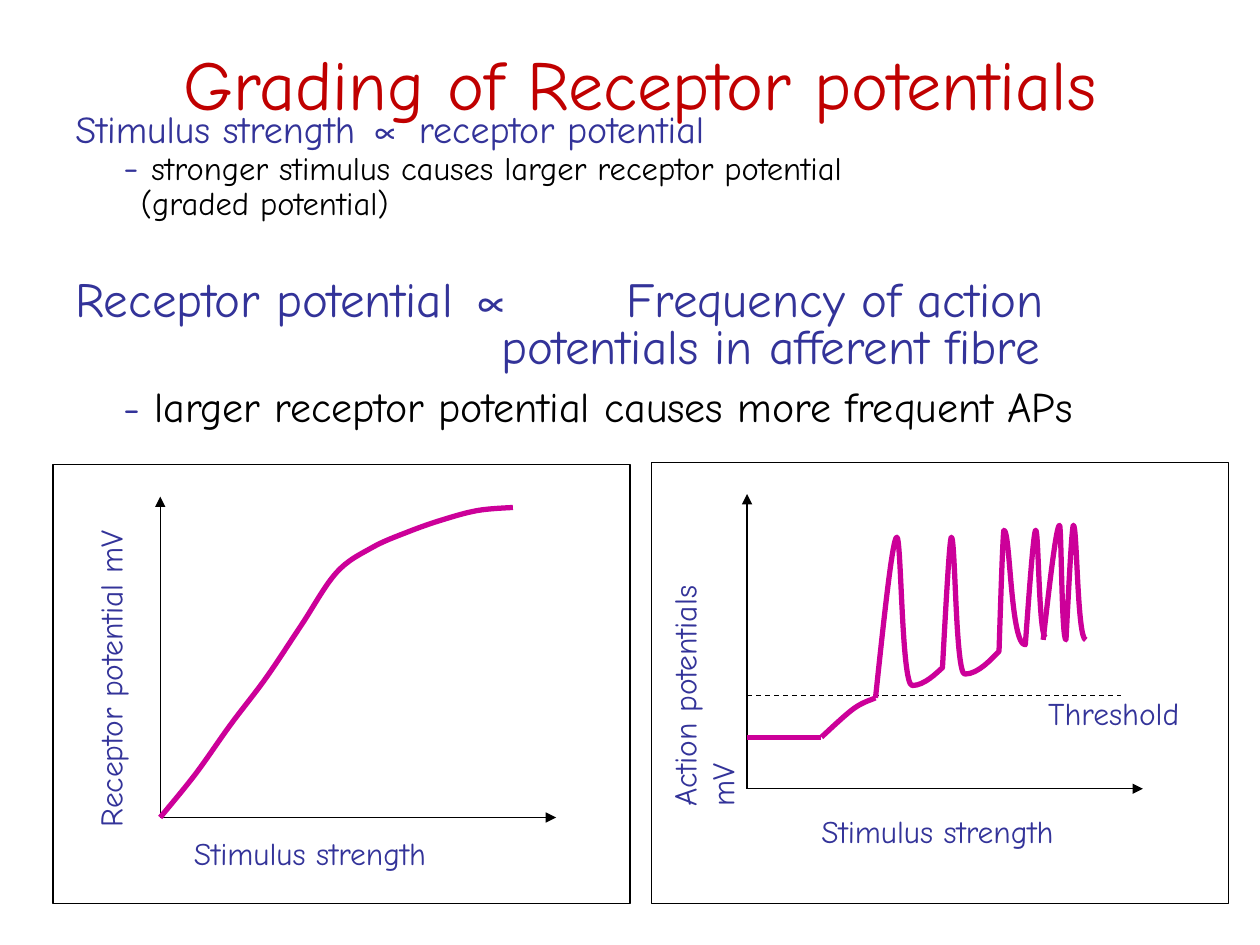
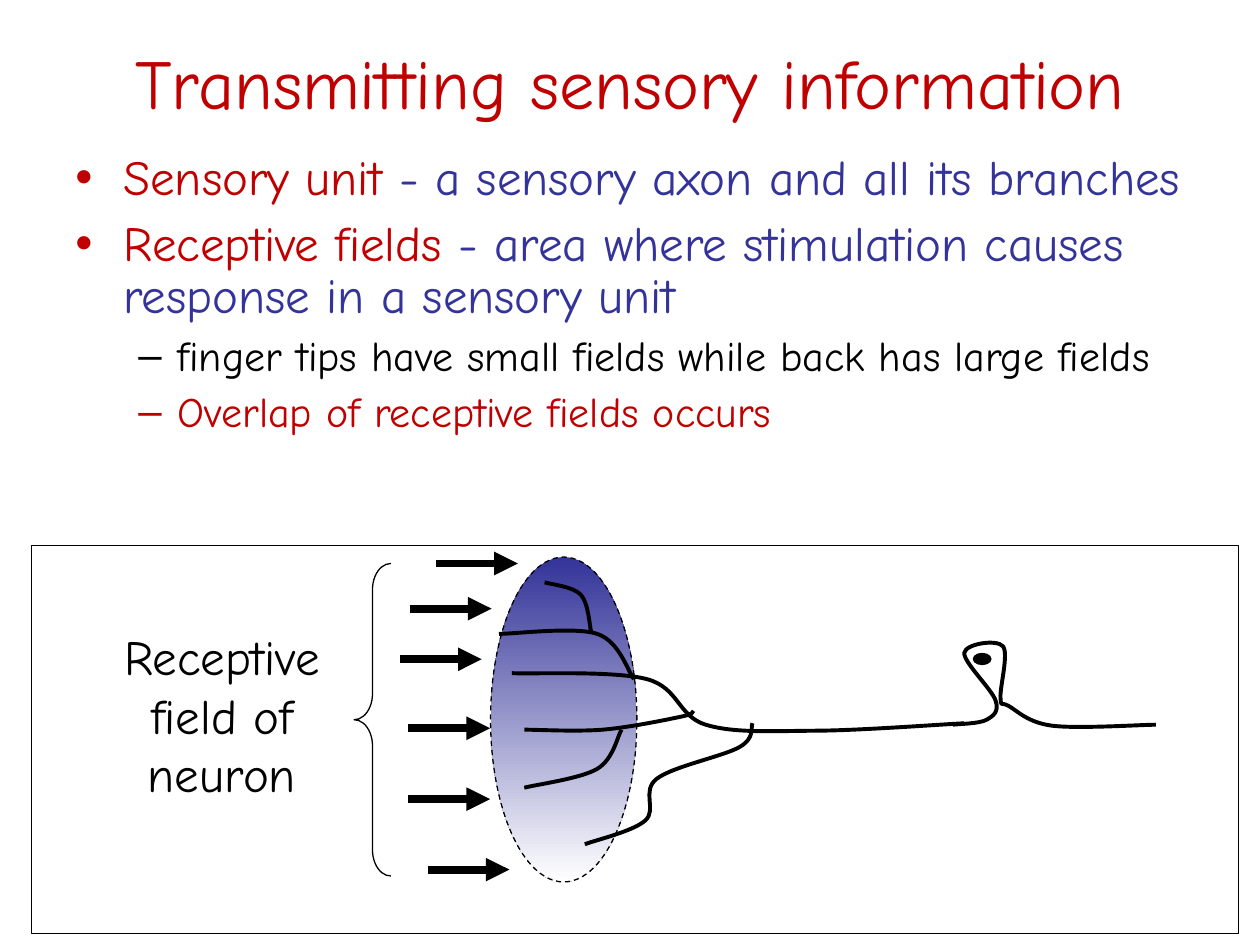
from collections import namedtuple

from lxml import etree
from pptx import Presentation
from pptx import util as u
from pptx.dml.color import RGBColor
from pptx.enum import dml, shapes, text
from pptx.oxml import ns

RED = RGBColor(0xC0, 0x00, 0x00)
INDIGO = RGBColor(0x33, 0x33, 0x99)
MAGENTA = RGBColor(0xCC, 0x00, 0x99)
BLACK = RGBColor(0x00, 0x00, 0x00)
WHITE = RGBColor(0xFF, 0xFF, 0xFF)

FONT = "Comic Neue"
SYMBOL_FONT = "Arial"
LABEL_HEIGHT = 1.02
AXIS_TOP = 0.64
AXIS_LENGTH = 7.98
ARROW_LENGTH = 1.65

Box = namedtuple("Box", "left top width height")
Run = namedtuple("Run", "words size color font", defaults=[FONT])
Spike = namedtuple("Spike", "foot peak trough")

RESPONSE_PERCENT = [0, 14, 30, 45, 62, 79, 87, 92, 96, 99, 100]
REST_END = (3.43, 5.54)
SPACED_SPIKES = [
    Spike((4.52, 4.75), (4.95, 1.51), (5.26, 4.5)),
    Spike((5.87, 4.14), (6.05, 1.51), (6.32, 4.27)),
    Spike((7.01, 3.81), (7.11, 1.37), (7.54, 3.68)),
    Spike((7.54, 3.68), (7.75, 1.37), (7.95, 3.53))]
RAPID_SPIKES = [
    Spike((7.9, 3.58), (8.23, 1.27), (8.36, 3.58)),
    Spike((8.36, 3.58), (8.51, 1.27), (8.76, 3.58))]

AXON = [(9.68, 2.57), (12.4, 2.69), (13.59, 3.61), (15.82, 3.73), (18.8, 3.58)]
CELL_BODY = [(18.57, 3.61), (19.25, 3.51), (19.43, 3.12), (18.8, 2.16), (19.58, 2.03),
             (19.53, 3.07), (19.69, 3.23), (20.57, 3.63), (22.66, 3.61)]
UPPER_BRANCH = [(9.42, 1.78), (11.4, 1.78), (12.14, 2.69)]
UPPER_TWIG = [(10.34, 0.74), (11.07, 0.99), (11.28, 1.75)]
LOWER_BRANCH = [(9.93, 3.71), (11.51, 3.71), (13.08, 3.45), (13.34, 3.33)]
LOWER_TWIG = [(9.93, 4.88), (11.4, 4.5), (11.89, 3.71)]
OUTER_BRANCH = [(11.15, 6.02), (12.37, 5.54), (12.6, 4.7), (14.27, 4.06), (14.53, 3.58)]
NEURON_PARTS = [AXON, CELL_BODY, UPPER_BRANCH, UPPER_TWIG,
                LOWER_BRANCH, LOWER_TWIG, OUTER_BRANCH]

STIMULUS_STARTS = [(8.15, 0.36), (7.62, 1.27), (7.42, 2.29),
                   (7.59, 3.68), (7.59, 5.11), (7.98, 6.53)]


def inside(panel, left, top, width, height):
    return Box(panel.left + left, panel.top + top, width, height)


def cm(lengths):
    return [u.Cm(length) for length in lengths]


def between(start, end, x_share, y_share):
    return (start[0] + x_share * (end[0] - start[0]),
            start[1] + y_share * (end[1] - start[1]))


def smooth(waypoints):
    padded = [waypoints[0], *waypoints, waypoints[-1]]
    curve = [waypoints[0]]
    for before, start, end, after in zip(padded, padded[1:], padded[2:], padded[3:]):
        leave = tuple(s + (e - b) / 6 for b, s, e in zip(before, start, end))
        arrive = tuple(e - (a - s) / 6 for s, e, a in zip(start, end, after))
        curve += [leave, arrive, end]
    return curve


def spike_train(spikes):
    curve = [spikes[0].foot]
    for foot, peak, trough in spikes:
        if foot != curve[-1]:
            curve += [between(curve[-1], foot, 0.4, 0), between(curve[-1], foot, 0.8, 0.7), foot]
        curve += [between(foot, peak, 0.4, 0.5), between(foot, peak, 0.8, 1), peak]
        curve += [between(peak, trough, 0.3, 0), between(peak, trough, 0.3, 1), trough]
    return curve


def add_runs(paragraph, runs):
    for words, size, color, font in runs:
        run = paragraph.add_run()
        run.text = words
        run.font.name = font
        run.font.size = u.Pt(size)
        run.font.color.rgb = color


def add_text(slide, box, runs, align=text.PP_ALIGN.LEFT, anchor=text.MSO_ANCHOR.TOP):
    frame_box = slide.shapes.add_textbox(*cm(box))
    frame = frame_box.text_frame
    frame.word_wrap = True
    frame.vertical_anchor = anchor
    frame.paragraphs[0].alignment = align
    add_runs(frame.paragraphs[0], runs)
    return frame_box


def add_title(slide, box, words):
    add_text(slide, box, [Run(words, 40, RED)],
             text.PP_ALIGN.CENTER, text.MSO_ANCHOR.MIDDLE)


def add_label(slide, box, words, rotation=0):
    label = add_text(slide, box, [Run(words, 18, INDIGO)])
    label.rotation = rotation
    return label


def format_paragraph(paragraph, spacing, before=0, margin=0, indent=0):
    paragraph.line_spacing = spacing
    paragraph.space_before = u.Pt(before)
    properties = paragraph._p.get_or_add_pPr()
    properties.set("marL", str(u.Cm(margin)))
    properties.set("indent", str(u.Cm(indent)))
    return properties


def add_bullet(properties, char, color):
    bullet_color = etree.SubElement(properties, ns.qn("a:buClr"))
    etree.SubElement(bullet_color, ns.qn("a:srgbClr"), val=str(color))
    etree.SubElement(properties, ns.qn("a:buFont"), typeface=SYMBOL_FONT)
    etree.SubElement(properties, ns.qn("a:buChar"), char=char)


def add_outline(slide, preset, box, line=BLACK, fill=None, dashed=False):
    outline = slide.shapes.add_shape(preset, *cm(box))
    outline.shadow.inherit = False
    if fill is None:
        outline.fill.background()
    else:
        outline.fill.solid()
        outline.fill.fore_color.rgb = fill
    if line is None:
        outline.line.fill.background()
    else:
        outline.line.color.rgb = line
        outline.line.width = u.Pt(0.75)
    if dashed:
        outline.line.dash_style = dml.MSO_LINE.DASH
    return outline


def add_line(slide, panel, start, end, color=BLACK, width=0.75, arrow=False, dashed=False):
    ends = cm(origin + offset for point in (start, end)
              for origin, offset in zip(panel[:2], point))
    line = slide.shapes.add_connector(shapes.MSO_CONNECTOR.STRAIGHT, *ends)
    line.line.color.rgb = color
    line.line.width = u.Pt(width)
    if dashed:
        line.line.dash_style = dml.MSO_LINE.DASH
    if arrow:
        etree.SubElement(line.line._get_or_add_ln(), ns.qn("a:tailEnd"), type="triangle")
    etree.SubElement(line._element.spPr, ns.qn("a:effectLst"))


def add_curve(slide, panel, points, color, width):
    start, *rest = [cm((panel.left + x, panel.top + y)) for x, y in points]
    builder = slide.shapes.build_freeform(*start)
    builder.add_line_segments(rest, close=False)
    curve = builder.convert_to_shape()
    steps = list(curve._element.iter(ns.qn("a:lnTo")))
    for first in range(0, len(steps), 3):
        bezier = etree.Element(ns.qn("a:cubicBezTo"))
        steps[first].addprevious(bezier)
        for step in steps[first:first + 3]:
            bezier.append(step[0])
            step.getparent().remove(step)
    curve.shadow.inherit = False
    curve.fill.background()
    curve.line.color.rgb = color
    curve.line.width = u.Pt(width)


def add_graph_frame(slide, panel, origin):
    x, y = origin
    add_outline(slide, shapes.MSO_SHAPE.RECTANGLE, panel)
    for axis_end in ((x, AXIS_TOP), (x + AXIS_LENGTH, y)):
        add_line(slide, panel, origin, axis_end, arrow=True)


def add_receptor_graph(slide, panel):
    left, bottom = origin = (2.16, 7.11)
    width, height = 7.11, 6.25
    add_graph_frame(slide, panel, origin)
    last = len(RESPONSE_PERCENT) - 1
    response = [(left + width * step / last, bottom - height * percent / 100)
                for step, percent in enumerate(RESPONSE_PERCENT)]
    add_curve(slide, panel, smooth(response), MAGENTA, 3)
    add_label(slide, inside(panel, 2.59, 7.32, 7.59, LABEL_HEIGHT), "Stimulus strength")
    add_label(slide, inside(panel, -2.44, 3.45, 7.19, LABEL_HEIGHT),
              "Receptor potential mV", 270)


def add_action_graph(slide, panel):
    left, bottom = origin = (1.93, 6.58)
    threshold = 4.7
    add_graph_frame(slide, panel, origin)
    add_label(slide, inside(panel, 3.18, 6.93, 6.25, LABEL_HEIGHT), "Stimulus strength")
    y_label = add_label(slide, inside(panel, -2.36, 2.9, 6.81, 1.78), "Action potentials", 270)
    unit_line = y_label.text_frame.paragraphs[0]
    unit_line.add_line_break()
    add_runs(unit_line, [Run("mV", 18, INDIGO)])
    add_line(slide, panel, (left, threshold), (9.47, threshold), dashed=True)
    add_label(slide, inside(panel, 7.75, 4.55, 3.89, LABEL_HEIGHT), "Threshold")
    add_line(slide, panel, (left, REST_END[1]), REST_END, MAGENTA, 3)
    first_foot = SPACED_SPIKES[0].foot
    depolarising = smooth([REST_END, between(REST_END, first_foot, 0.6, 0.73), first_foot])
    for curve in (depolarising, spike_train(SPACED_SPIKES), spike_train(RAPID_SPIKES)):
        add_curve(slide, panel, curve, MAGENTA, 3)


def add_stimulus_rule(slide, box):
    frame = add_text(slide, box, [
        Run("Stimulus strength ", 21.7, INDIGO), Run("∝", 21.7, INDIGO, SYMBOL_FONT),
        Run(" receptor potential", 21.7, INDIGO)]).text_frame
    format_paragraph(frame.paragraphs[0], 0.6)
    details = [
        (0.97, [Run("- ", 21.7, INDIGO),
                Run("stronger stimulus causes larger receptor potential", 18.6, BLACK)]),
        (1.32, [Run("(graded potential)", 18.6, BLACK)])]
    for margin, runs in details:
        detail = frame.add_paragraph()
        format_paragraph(detail, 0.6, 6, margin)
        add_runs(detail, runs)


def add_frequency_rule(slide, box):
    frame = add_text(slide, box, [
        Run("Receptor potential ", 28, INDIGO), Run("∝ \t", 28, INDIGO, SYMBOL_FONT),
        Run("Frequency of action", 28, INDIGO)]).text_frame
    format_paragraph(frame.paragraphs[0], 0.8, margin=11.11, indent=-11.11)
    continuations = [
        (8.59, 0, [Run("potentials in afferent fibre", 28, INDIGO)]),
        (0.97, 9.5, [Run("- ", 24, INDIGO),
                     Run("larger receptor potential causes more frequent APs", 24, BLACK)])]
    for margin, before, runs in continuations:
        paragraph = frame.add_paragraph()
        format_paragraph(paragraph, 0.8, before, margin)
        add_runs(paragraph, runs)


def add_definitions(slide, box):
    frame = add_text(slide, box, []).text_frame
    terms = [("Sensory unit ", "- a sensory axon and all its branches"),
             ("Receptive fields ", "- area where stimulation causes response in a sensory unit")]
    notes = [("finger tips have small fields while back has large fields", BLACK),
             ("Overlap of receptive fields occurs", RED)]
    for index, (term, meaning) in enumerate(terms):
        paragraph = frame.add_paragraph() if index else frame.paragraphs[0]
        properties = format_paragraph(paragraph, 0.9, 7 if index else 0, 0.97, -0.97)
        add_bullet(properties, "•", RED)
        add_runs(paragraph, [Run(term, 28, RED), Run(meaning, 28, INDIGO)])
    for note, color in notes:
        paragraph = frame.add_paragraph()
        paragraph.level = 1
        add_bullet(format_paragraph(paragraph, 0.9, 6, 2.06, -0.79), "–", color)
        add_runs(paragraph, [Run(note, 24, color)])


def add_neuron_diagram(slide, panel):
    add_outline(slide, shapes.MSO_SHAPE.RECTANGLE, panel, fill=WHITE)
    add_text(slide, inside(panel, 1.27, 1.5, 5.13, 3.81),
             [Run("Receptive field of neuron", 28, BLACK)], text.PP_ALIGN.CENTER)
    field = add_outline(slide, shapes.MSO_SHAPE.OVAL,
                        inside(panel, 9.25, 0.23, 2.95, 6.55), dashed=True)
    field.fill.gradient()
    field.fill.gradient_angle = 270
    for stop, color, position in zip(field.fill.gradient_stops, (INDIGO, WHITE), (0, 1)):
        stop.color.rgb = color
        stop.position = position
    for part in NEURON_PARTS:
        add_curve(slide, panel, smooth(part), BLACK, 2.25)
    add_outline(slide, shapes.MSO_SHAPE.OVAL, inside(panel, 18.97, 2.16, 0.38, 0.25),
                line=None, fill=BLACK)
    brace = add_outline(slide, shapes.MSO_SHAPE.LEFT_BRACE,
                        inside(panel, 6.5, 0.36, 0.74, 6.3))
    brace.adjustments[0] = 0.71
    for x, y in STIMULUS_STARTS:
        add_line(slide, panel, (x, y), (x + ARROW_LENGTH, y), width=4.5, arrow=True)


def build_grading_slide(slide):
    add_title(slide, Box(1.47, 0.64, 22.86, 2.03), "Grading of Receptor potentials")
    add_stimulus_rule(slide, Box(1.27, 2.32, 23.06, 2.34))
    add_action_graph(slide, Box(13.13, 9.32, 11.63, 8.89))
    add_frequency_rule(slide, Box(1.27, 5.51, 23.5, 3.61))
    add_receptor_graph(slide, Box(1.07, 9.37, 11.63, 8.84))


def build_transmitting_slide(slide):
    add_definitions(slide, Box(1.27, 2.97, 22.86, 8.05))
    add_neuron_diagram(slide, Box(0.64, 11, 24.33, 7.82))
    add_title(slide, Box(1.27, 0.76, 22.86, 1.78), "Transmitting sensory information")


def main():
    deck = Presentation()
    deck.slide_width, deck.slide_height = u.Cm(25.4), u.Cm(19.05)
    for build in (build_grading_slide, build_transmitting_slide):
        build(deck.slides.add_slide(deck.slide_layouts[6]))
    deck.save("out.pptx")


if __name__ == "__main__":
    main()
